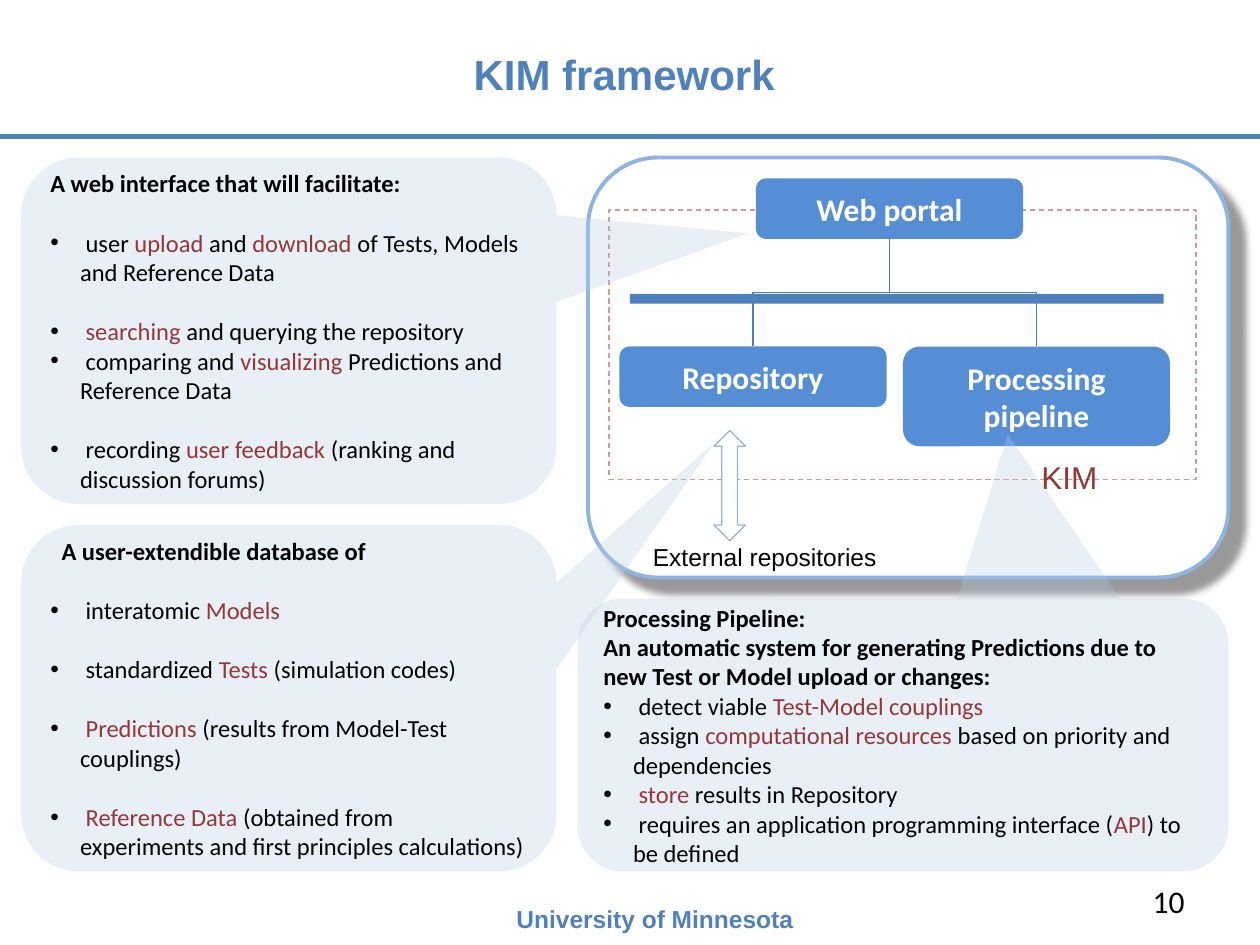
"""Build the KIM framework slide."""
from dataclasses import dataclass
from typing import Optional

from lxml.etree import SubElement
from pptx import Presentation
from pptx.dml.color import RGBColor
from pptx.enum.dml import MSO_LINE
from pptx.enum.shapes import MSO_CONNECTOR, MSO_SHAPE
from pptx.enum.text import MSO_ANCHOR, PP_ALIGN
from pptx.oxml.ns import qn
from pptx.util import Pt

COLORS = {"blue": "4F81BD", "box": "558ED5", "wire": "4B7EBC", "panel": "8EB4E3",
          "arrow": "95B3D7", "dash": "D99694", "red": "953735", "pale": "B9CDE5",
          "black": "000000", "white": "FFFFFF"}
HEADING = {"name": "Arial", "size": Pt(24), "bold": True}
FOOTER = {"name": "Arial", "size": Pt(14), "bold": True}
LABEL = {"name": "Arial", "size": Pt(14), "bold": False}
KIM = {"name": "Arial", "size": Pt(18), "bold": False}
NUMBER = {"name": "Calibri", "size": Pt(18), "bold": False}
BOX = {"name": "Calibri", "size": Pt(18), "bold": True}
LEAD = {"name": "Calibri", "size": Pt(14), "bold": True}
ITEM = {"name": "Calibri", "size": Pt(14), "bold": False}
HANG = Pt(17)
LINE_GAP = Pt(17)


@dataclass
class Para:
    """One callout paragraph; asterisks enclose the red words."""
    text: str
    gap: bool = False
    bullet: bool = True
    indent: float = 0


@dataclass
class Callout:
    """A pale rounded callout with its pointer and paragraphs."""
    at: tuple
    tip: tuple
    paras: list


CALLOUTS = [
    Callout((12, 90, 306, 198), (0.858, -0.281, 0.167), [
        Para("A web interface that will facilitate:", bullet=False),
        Para(" user *upload* and *download* of Tests, Models and Reference Data", gap=True),
        Para(" *searching* and querying the repository", gap=True),
        Para(" comparing and *visualizing* Predictions and Reference Data"),
        Para(" recording *user feedback *(ranking and discussion forums)", gap=True)]),
    Callout((12, 300, 306, 198), (0.797, -0.741, 0.167), [
        Para("A user-extendible database of", bullet=False, indent=6.4),
        Para(" interatomic *Models*", gap=True),
        Para(" standardized *Tests *(simulation codes)", gap=True),
        Para(" *Predictions* (results from Model-Test couplings)", gap=True),
        Para(" *Reference Data *(obtained from\vexperiments and first principles calculations)",
             gap=True)]),
    Callout((330, 342, 372, 156), (0.161, -1.102, 0.167), [
        Para("Processing Pipeline:", bullet=False),
        Para("An automatic system for generating Predictions due to new Test or Model "
             "upload or changes:", bullet=False),
        Para(" detect viable *Test-Model couplings*"),
        Para(" assign *computational resources *based on priority and dependencies"),
        Para(" *store* results in Repository"),
        Para(" requires an application programming interface (*API*) to be defined")]),
]


def rgb(name: str) -> RGBColor:
    """Look up a colour."""
    return RGBColor.from_string(COLORS[name])


def set_font(font, fmt: dict, color: str) -> None:
    """Apply format values and a colour to a font."""
    for key, value in fmt.items():
        setattr(font, key, value)
    font.color.rgb = rgb(color)


def write(sp, text: str, fmt: dict, color: str, align=PP_ALIGN.LEFT,
          anchor=MSO_ANCHOR.TOP) -> None:
    """Put a single formatted paragraph in a shape."""
    tf = sp.text_frame
    tf.word_wrap, tf.vertical_anchor = True, anchor
    p = tf.paragraphs[0]
    p.alignment = align
    r = p.add_run()
    r.text = text
    set_font(r.font, fmt, color)


def add_label(slide, at: tuple, text: str, fmt: dict, color: str, **layout) -> None:
    """Add a text box."""
    write(slide.shapes.add_textbox(*map(Pt, at)), text, fmt, color, **layout)


def add_shape(slide, kind, at: tuple, fill: Optional[str] = None,
              line: Optional[str] = None, width: float = 0.75):
    """Add a preset shape without a shadow."""
    sp = slide.shapes.add_shape(kind, *map(Pt, at))
    sp.shadow.inherit = False
    if fill:
        sp.fill.solid()
        sp.fill.fore_color.rgb = rgb(fill)
    else:
        sp.fill.background()
    if line:
        sp.line.color.rgb, sp.line.width = rgb(line), Pt(width)
    else:
        sp.line.fill.background()
    return sp


def add_box(slide, at: tuple, text: str):
    """Add a blue component box."""
    sp = add_shape(slide, MSO_SHAPE.ROUNDED_RECTANGLE, at, "box")
    write(sp, text, BOX, "white", PP_ALIGN.CENTER, MSO_ANCHOR.MIDDLE)
    return sp


def add_line(slide, kind, start: tuple, end: tuple, color: str, width: float):
    """Add a connector without a shadow."""
    cn = slide.shapes.add_connector(kind, *map(Pt, start + end))
    cn.line.color.rgb, cn.line.width = rgb(color), Pt(width)
    SubElement(cn.element.spPr, qn("a:effectLst"))
    return cn


def add_elbow(slide, parent, child) -> None:
    """Join the bottom of one box to the top of another, leaving downwards."""
    cn = add_line(slide, MSO_CONNECTOR.ELBOW, (0, 0), (9, 9), "wire", 0.75)
    cn.begin_connect(parent, 2)
    cn.end_connect(child, 0)
    x1, x2 = parent.left + parent.width // 2, child.left + child.width // 2
    y1, y2 = parent.top + parent.height, child.top
    dx, dy = abs(x2 - x1), y2 - y1
    cn.left, cn.top = (x1 + x2 - dy) // 2, (y1 + y2 - dx) // 2
    cn.width, cn.height = dy, dx
    xfrm = cn.element.spPr.find(qn("a:xfrm"))
    xfrm.set("rot", str((270 if x2 > x1 else 90) * 60000))
    xfrm.set("flipH", "1" if x2 > x1 else "0")


def add_callout(slide, callout: Callout) -> None:
    """Add a callout and its list."""
    sp = add_shape(slide, MSO_SHAPE.ROUNDED_RECTANGULAR_CALLOUT, callout.at, "pale")
    for i, value in enumerate(callout.tip):
        sp.adjustments[i] = value
    SubElement(sp.element.spPr.find(".//" + qn("a:srgbClr")), qn("a:alpha"), val="30000")
    tf = sp.text_frame
    tf.word_wrap, tf.vertical_anchor = True, MSO_ANCHOR.MIDDLE
    for i, para in enumerate(callout.paras):
        p = tf.add_paragraph() if i else tf.paragraphs[0]
        p.alignment = PP_ALIGN.LEFT
        if para.gap:
            p.space_before = LINE_GAP
        pPr = p._p.get_or_add_pPr()
        pPr.set("marL", str(HANG if para.bullet else Pt(para.indent)))
        pPr.set("indent", str(-HANG if para.bullet else 0))
        if para.bullet:
            SubElement(pPr, qn("a:buFont"), typeface="Arial")
            SubElement(pPr, qn("a:buChar"), char="•")
        for j, part in enumerate(para.text.split("*")):
            for k, piece in enumerate(part.split("\v")):
                if k:
                    p.add_line_break()
                if piece:
                    r = p.add_run()
                    r.text = piece
                    set_font(r.font, ITEM if para.bullet else LEAD, "red" if j % 2 else "black")


def main() -> None:
    """Draw the slide and save it."""
    prs = Presentation()
    prs.slide_width, prs.slide_height = Pt(720), Pt(540)
    slide = prs.slides.add_slide(prs.slide_layouts[5])
    add_line(slide, MSO_CONNECTOR.STRAIGHT, (0, 78), (720, 78), "blue", 3)
    title = slide.shapes.title
    for key, value in zip(("left", "top", "width", "height"), (36, 18, 648, 48)):
        setattr(title, key, Pt(value))
    write(title, "KIM framework ", HEADING, "blue", PP_ALIGN.CENTER, MSO_ANCHOR.MIDDLE)
    add_label(slide, (288, 513, 192, 24), "University of Minnesota", FOOTER, "blue")
    add_label(slide, (516, 500.5, 168, 29), "10", NUMBER, "black",
              align=PP_ALIGN.RIGHT, anchor=MSO_ANCHOR.MIDDLE)

    panel = add_shape(slide, MSO_SHAPE.ROUNDED_RECTANGLE, (336, 90, 366, 240),
                      "white", "panel", 2.25)
    shadow = SubElement(panel.element.spPr.find(qn("a:effectLst")), qn("a:outerShdw"),
                        blurRad=str(Pt(4)), dist=str(Pt(12)), dir=str(45 * 60000),
                        algn="tl", rotWithShape="0")
    black = SubElement(shadow, qn("a:srgbClr"), val=COLORS["black"])
    SubElement(black, qn("a:alpha"), val="40000")

    repository = add_box(slide, (354, 198, 152.6, 34.5), "Repository")
    pipeline = add_box(slide, (516, 198, 152.6, 57), "Processing pipeline")
    bar = (360, 168, 305, 5.5)
    frame = add_shape(slide, MSO_SHAPE.RECTANGLE, (348, 120, 335.5, 154), line="dash")
    frame.line.dash_style = MSO_LINE.DASH
    portal = add_box(slide, (432, 102, 152.6, 34.5), "Web portal")
    for child in (pipeline, repository):
        add_elbow(slide, portal, child)
    add_shape(slide, MSO_SHAPE.RECTANGLE, bar, "blue")
    add_label(slide, (588, 258, 55, 29), "KIM", KIM, "red")
    add_shape(slide, MSO_SHAPE.UP_DOWN_ARROW, (408, 246, 18, 63), "white", "arrow")
    add_label(slide, (366, 306, 225, 24), "External repositories", LABEL, "black")
    for callout in CALLOUTS:
        add_callout(slide, callout)
    prs.save("out.pptx")


if __name__ == "__main__":
    main()
